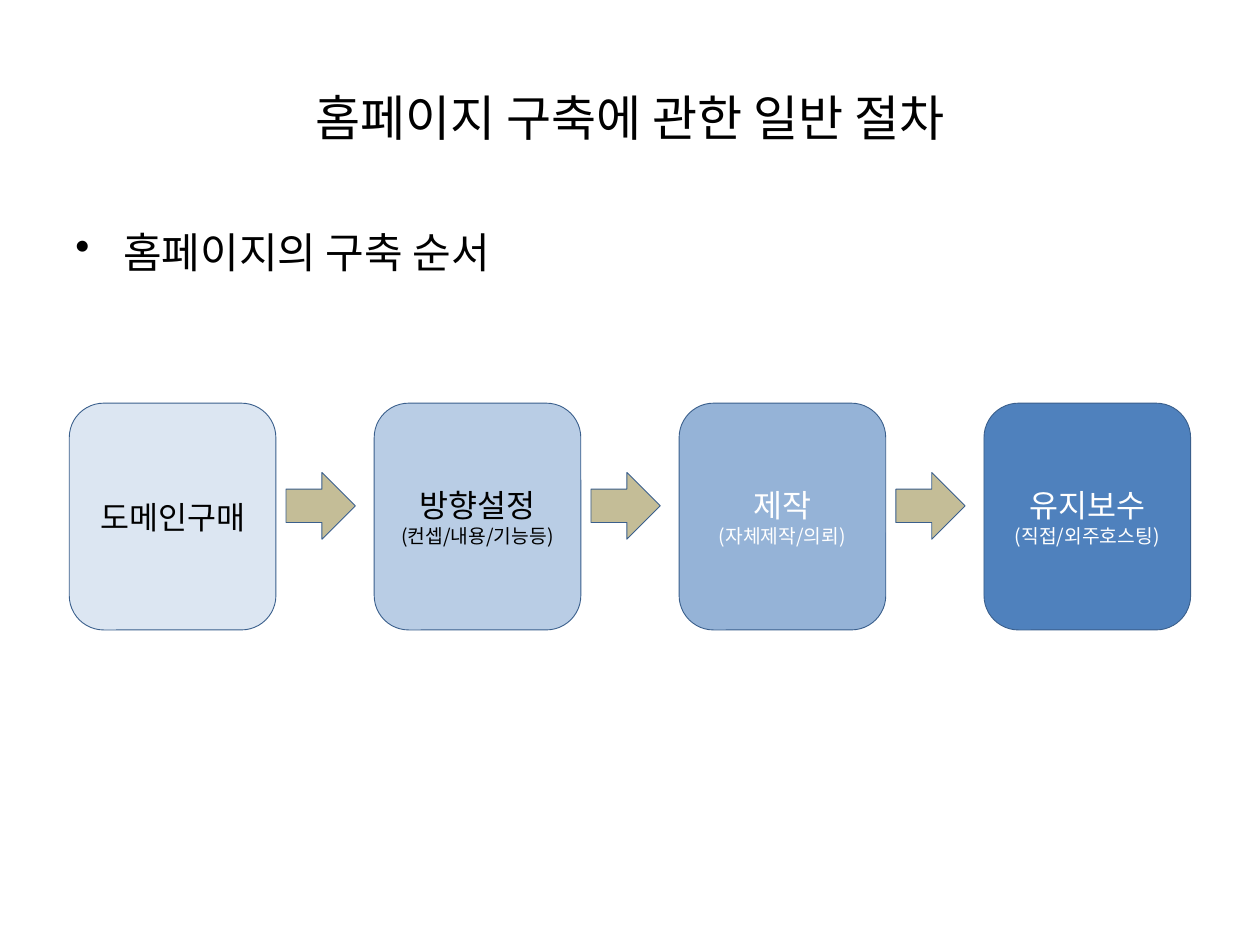
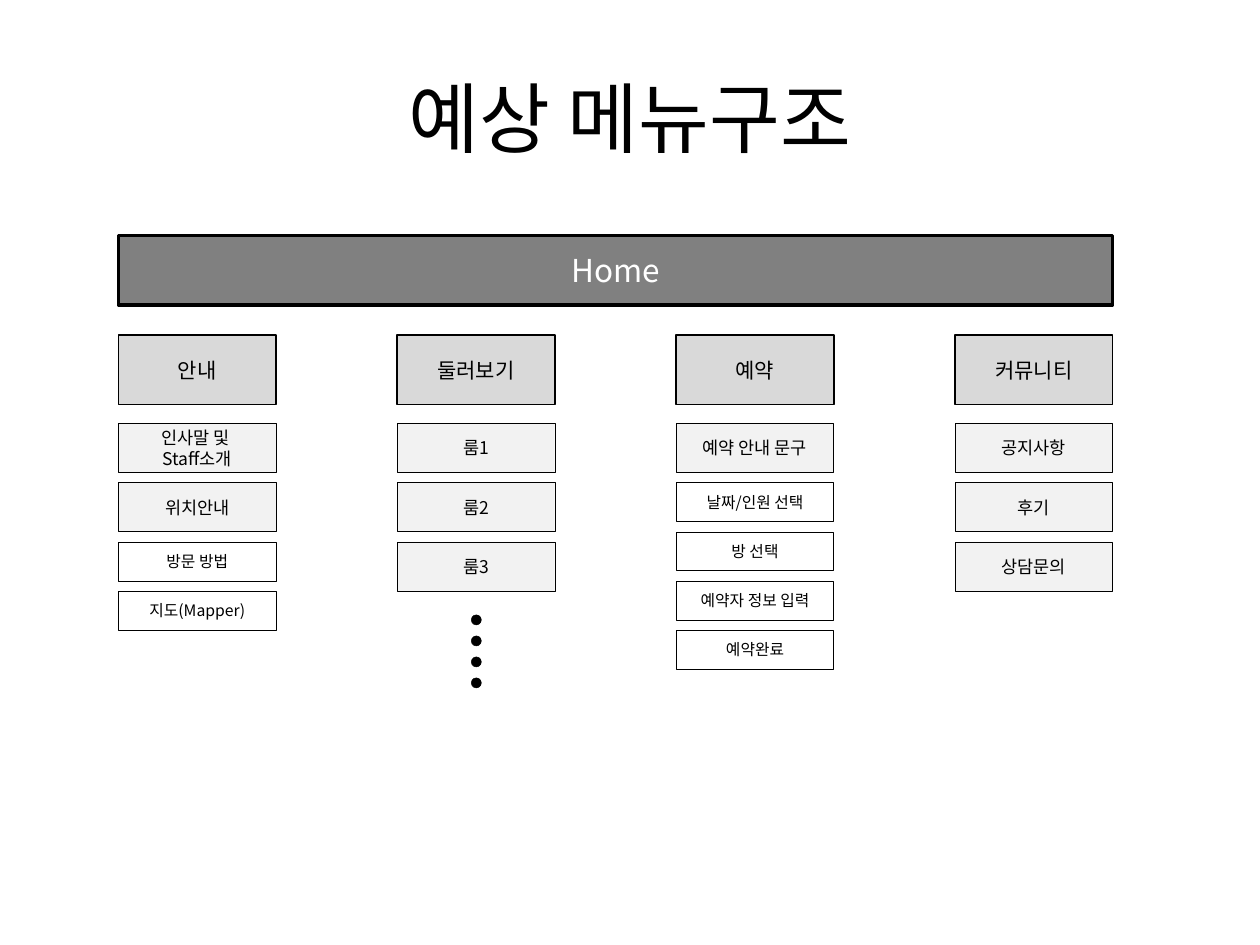
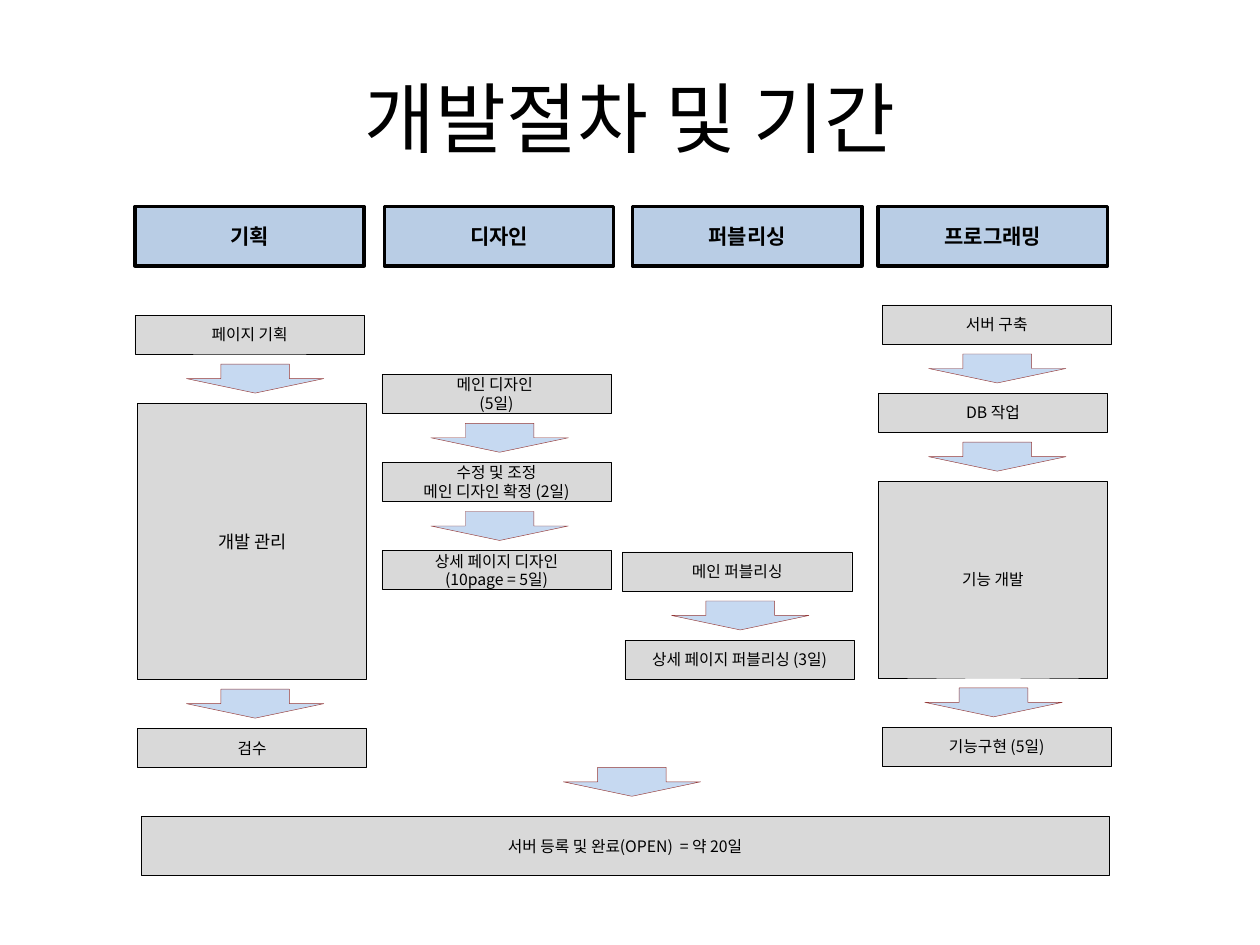
from lxml import etree
from pptx import Presentation
from pptx.dml.color import RGBColor
from pptx.enum import shapes, text
from pptx.oxml.ns import qn
from pptx.util import Inches, Pt

FONT = "Noto Sans CJK KR"
BLACK, WHITE = "000000", "FFFFFF"
GREY, PALE_GREY, DARK_GREY = "D9D9D9", "F2F2F2", "808080"
PALE_BLUE, STEEL, ARROW_BLUE, ARROW_RED = "B9CDE5", "3A5F8C", "C6D9F1", "953735"
KIND = shapes.MSO_SHAPE
GAP = 0.08


def color(value):
    return RGBColor.from_string(value)


def write(frame, content, size=9, ink=BLACK, bold=False, align=text.PP_ALIGN.CENTER,
          anchor=text.MSO_ANCHOR.MIDDLE, small=None):
    frame.word_wrap = True
    frame.vertical_anchor = anchor
    for index, line in enumerate(content.split("\n")):
        para = frame.paragraphs[0] if index == 0 else frame.add_paragraph()
        para.alignment = align
        span = para.add_run()
        span.text = line
        span.font.name = FONT
        span.font.size = Pt(small if small and index else size)
        span.font.bold = bold
        span.font.color.rgb = color(ink)
        east_asian = etree.SubElement(span.font._element, qn("a:ea"))
        east_asian.set("typeface", FONT)


class Slides:
    def __init__(self):
        self.deck = Presentation()
        self.deck.slide_width, self.deck.slide_height = Inches(10), Inches(7.5)
        self.page = None

    def start(self, title, size=44):
        self.page = self.deck.slides.add_slide(self.deck.slide_layouts[6])
        self.label(title, 0.5, 0.3, 9, 1.25, size=size)

    def label(self, content, left, top, width, height, **style):
        box = self.page.shapes.add_textbox(*map(Inches, (left, top, width, height)))
        write(box.text_frame, content, **style)
        return box

    def bullet(self, content, left, top, width, height, size):
        box = self.label(content, left, top, width, height, size=size,
                         align=text.PP_ALIGN.LEFT, anchor=text.MSO_ANCHOR.TOP)
        para = box.text_frame.paragraphs[0]
        para.space_before = Pt(size * 0.2)
        properties = para._p.get_or_add_pPr()
        properties.set("marL", str(Inches(0.38)))
        properties.set("indent", str(Inches(-0.38)))
        etree.SubElement(properties, qn("a:buChar")).set("char", "•")

    def shape(self, kind, left, top, width, height, fill, line=None, weight=0.25):
        box = self.page.shapes.add_shape(kind, *map(Inches, (left, top, width, height)))
        box.shadow.inherit = False
        box.fill.solid()
        box.fill.fore_color.rgb = color(fill)
        if line:
            box.line.color.rgb = color(line)
            box.line.width = Pt(weight)
        else:
            box.line.fill.background()
        return box

    def box(self, content, left, top, width, height, fill, line=BLACK, weight=0.25,
            kind=KIND.RECTANGLE, **style):
        box = self.shape(kind, left, top, width, height, fill, line, weight)
        write(box.text_frame, content, **style)

    def down_arrow(self, left, top):
        self.shape(KIND.DOWN_ARROW, left, top, 1.09, 0.23, ARROW_BLUE, ARROW_RED)


def build_procedure(slides):
    slides.start("홈페이지 구축에 관한 일반 절차", size=28)
    slides.bullet("홈페이지의 구축 순서", 0.5, 1.75, 9, 0.75, size=24)
    stages = [
        ("도메인구매", "DCE6F2", BLACK),
        ("방향설정\n(컨셉/내용/기능등)", PALE_BLUE, BLACK),
        ("제작\n(자체제작/의뢰)", "95B3D7", WHITE),
        ("유지보수\n(직접/외주호스팅)", "4F81BD", WHITE),
    ]
    for index, (name, fill, ink) in enumerate(stages):
        left = 0.55 + index * 2.42
        if index:
            slides.shape(KIND.RIGHT_ARROW, left - 0.7, 3.75, 0.55, 0.53,
                         "C4BD97", STEEL, 0.5)
        slides.box(name, left, 3.2, 1.64, 1.8, fill, STEEL, 0.5,
                   KIND.ROUNDED_RECTANGLE, size=18, ink=ink, small=11)


def build_menu(slides):
    slides.start("예상 메뉴구조")
    slides.box("Home", 0.94, 1.87, 7.89, 0.55, DARK_GREY, weight=2, size=18, ink=WHITE)
    menus = [
        ("안내", ["인사말 및 \nStaff소개", "위치안내"], ["방문 방법", "지도(Mapper)"]),
        ("둘러보기", ["룸1", "룸2", "룸3"], []),
        ("예약", ["예약 안내 문구"],
         ["날짜/인원 선택", "방 선택", "예약자 정보 입력", "예약완료"]),
        ("커뮤니티", ["공지사항", "후기", "상담문의"], []),
    ]
    for index, (name, entries, details) in enumerate(menus):
        left, top = 0.94 + index * 6.64 / 3, 3.36
        slides.box(name, left, 2.66, 1.25, 0.55, GREY, weight=1, size=12)
        for group, height, fill, size in ((entries, 0.39, PALE_GREY, 10),
                                          (details, 0.31, WHITE, 9)):
            for entry in group:
                slides.box(entry, left, top, 1.25, height, fill, size=size)
                top += height + GAP
    for index in range(4):
        slides.shape(KIND.OVAL, 3.74, 4.88 + index / 6, 0.08, 0.08, BLACK, BLACK)


def build_schedule(slides):
    slides.start("개발절차 및 기간")
    headings = [("기획", 1.07), ("디자인", 3.05), ("퍼블리싱", 5.02), ("프로그래밍", 6.97)]
    for name, left in headings:
        slides.box(name, left, 1.64, 1.82, 0.47, PALE_BLUE, weight=2, size=12, bold=True)

    flows = [
        (2.5, [1.48, 1.48], [("페이지 기획", 1.07, 0.31, 9), ("개발 관리", 1.09, 2.19, 10),
                             ("검수", 1.09, 0.31, 9)]),
        (2.97, [3.42, 3.42], [("메인 디자인 \n(5일)", 3.03, 0.31, 9),
                              ("수정 및 조정\n메인 디자인 확정 (2일)", 3.03, 0.31, 9),
                              ("상세 페이지 디자인\n(10page = 5일)", 3.03, 0.31, 9)]),
        (4.38, [5.33], [("메인 퍼블리싱", 4.94, 0.31, 9),
                        ("상세 페이지 퍼블리싱 (3일)", 4.96, 0.31, 9)]),
        (2.42, [7.37, 7.37, 7.34], [("서버 구축", 7, 0.31, 9), ("DB 작업", 6.97, 0.31, 9),
                                    ("기능 개발", 6.97, 1.56, 9),
                                    ("기능구현 (5일)", 7, 0.31, 9)]),
    ]
    for top, arrows, steps in flows:
        for index, (name, left, height, size) in enumerate(steps):
            slides.box(name, left, top, 1.82, height, GREY, size=size)
            top += height + GAP
            if index < len(arrows):
                slides.down_arrow(arrows[index], top)
                top += 0.23 + GAP
    slides.down_arrow(4.47, 6.09)
    slides.box("서버 등록 및 완료(OPEN)  = 약 20일", 1.12, 6.48, 7.68, 0.47, GREY)


def main():
    slides = Slides()
    build_procedure(slides)
    build_menu(slides)
    build_schedule(slides)
    slides.deck.save("out.pptx")


if __name__ == "__main__":
    main()
